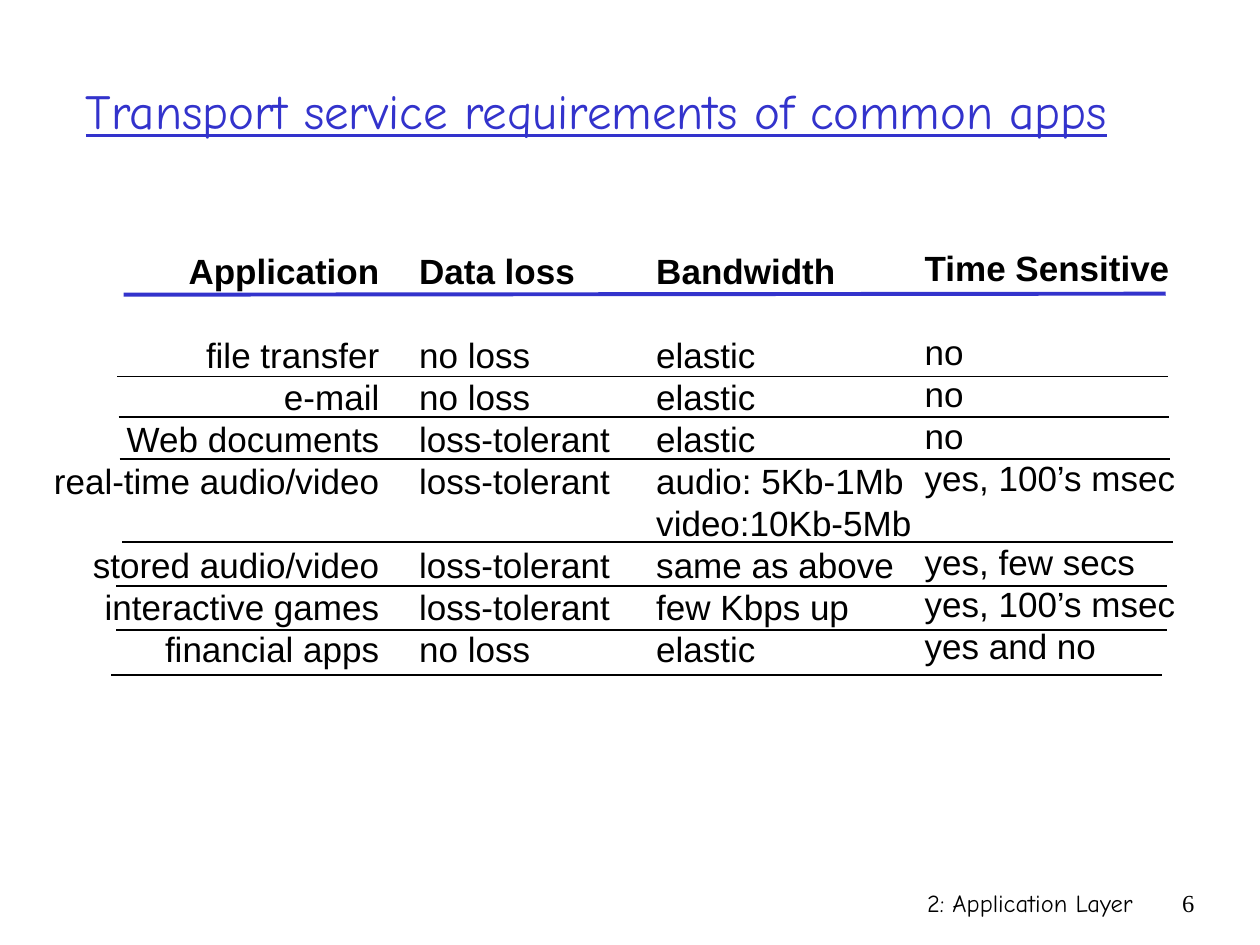
"""Build a slide listing the transport service requirements of common apps."""
import pptx
import pptx.dml.color
import pptx.enum.shapes
import pptx.enum.text
import pptx.oxml
import pptx.util

Cm = pptx.util.Cm
Pt = pptx.util.Pt
ALIGN = pptx.enum.text.PP_ALIGN
ANCHOR = pptx.enum.text.MSO_ANCHOR
BLUE = pptx.dml.color.RGBColor(0x33, 0x33, 0xCC)
BLACK = pptx.dml.color.RGBColor(0x00, 0x00, 0x00)

TITLE = "Transport service requirements of common apps"
FOOTER = "2: Application Layer"
SLIDE_NUMBER = "6"

COLUMNS = [
    {"box": (0.84, 4.9, 7.06, 8.74), "align": ALIGN.RIGHT,
     "header": "Application",
     "cells": ["file transfer", "e-mail", "Web documents", "real-time audio/video", None,
               "stored audio/video", "interactive games", "financial apps"]},
    {"box": (8.2, 4.9, 4.34, 8.74), "align": ALIGN.LEFT,
     "header": "Data loss",
     "cells": ["no loss", "no loss", "loss-tolerant", "loss-tolerant", None,
               "loss-tolerant", "loss-tolerant", "no loss"]},
    {"box": (12.98, 4.9, 5.74, 8.74), "align": ALIGN.LEFT,
     "header": "Bandwidth",
     "cells": ["elastic", "elastic", "elastic", "audio: 5Kb-1Mb", "video:10Kb-5Mb",
               "same as above", "few Kbps up", "elastic"]},
    {"box": (18.39, 4.85, 5.74, 8.74), "align": ALIGN.LEFT,
     "header": "Time Sensitive",
     "cells": ["no", "no", "no", "yes, 100’s msec", None,
               "yes, few secs", "yes, 100’s msec", "yes and no"]},
]

LINE_PITCH = Pt(24)
RULE_WIDTH = 21.18
ROW_RULES = [(2.36, 7.59), (2.39, 8.41), (2.41, 9.25), (2.46, 10.92),
             (2.34, 11.81), (2.34, 12.7), (2.24, 13.61)]


def write_text(paragraph, text, *, size, font, color=BLACK, bold=False,
               underline=False, align=ALIGN.LEFT):
    """Fill a paragraph with formatted text."""
    run = paragraph.add_run()
    run.text = text
    run.font.size = Pt(size)
    run.font.name = font
    run.font.color.rgb = color
    run.font.bold = bold
    run.font.underline = underline
    paragraph.alignment = align


def add_frame(slide, box, anchor=ANCHOR.TOP):
    """Add an empty text box and return its text frame."""
    frame = slide.shapes.add_textbox(*map(Cm, box)).text_frame
    frame.word_wrap = True
    frame.vertical_anchor = anchor
    return frame


def add_column(slide, column):
    """Add one column, with spacing in place of its empty rows."""
    frame = add_frame(slide, column["box"])
    if column["align"] == ALIGN.RIGHT:
        frame.margin_left = 0
    else:
        frame.margin_right = 0
    gap = False
    for index, text in enumerate([column["header"], None, *column["cells"]]):
        if text is None:
            gap = True
            continue
        paragraph = frame.add_paragraph() if index else frame.paragraphs[0]
        write_text(paragraph, text, size=20, font="Arial", bold=index == 0,
                   align=column["align"])
        paragraph.line_spacing = LINE_PITCH
        if gap:
            paragraph.space_before = LINE_PITCH
        gap = False


def add_rule(slide, start, end, color, width):
    """Add a straight rule without a shadow."""
    rule = slide.shapes.add_connector(
        pptx.enum.shapes.MSO_CONNECTOR.STRAIGHT, *map(Cm, start + end))
    rule.line.color.rgb = color
    rule.line.width = Pt(width)
    rule._element.spPr.append(pptx.oxml.parse_xml(
        '<a:effectLst xmlns:a="http://schemas.openxmlformats.org/drawingml/2006/main"/>'))


def main():
    """Create the presentation and save it."""
    presentation = pptx.Presentation()
    presentation.slide_width, presentation.slide_height = Cm(25.4), Cm(19.05)
    slide = presentation.slides.add_slide(presentation.slide_layouts[6])

    footer = add_frame(slide, (15.04, 17.78, 8.05, 1.27))
    write_text(footer.paragraphs[0], FOOTER, size=14, font="Comic Neue", align=ALIGN.RIGHT)
    number = add_frame(slide, (23.06, 17.78, 1.27, 1.27))
    write_text(number.paragraphs[0], SLIDE_NUMBER, size=14, font="Times New Roman",
               align=ALIGN.RIGHT)
    title = add_frame(slide, (1.48, 0.62, 22.78, 3.18), anchor=ANCHOR.MIDDLE)
    write_text(title.paragraphs[0], TITLE, size=28, font="Comic Neue", color=BLUE,
               underline=True)

    for column in COLUMNS:
        add_column(slide, column)
    add_rule(slide, (2.49, 5.94), (23.5, 5.92), BLUE, 2.25)
    for left, top in ROW_RULES:
        add_rule(slide, (left, top), (left + RULE_WIDTH, top), BLACK, 1)

    presentation.save("out.pptx")


if __name__ == "__main__":
    main()
